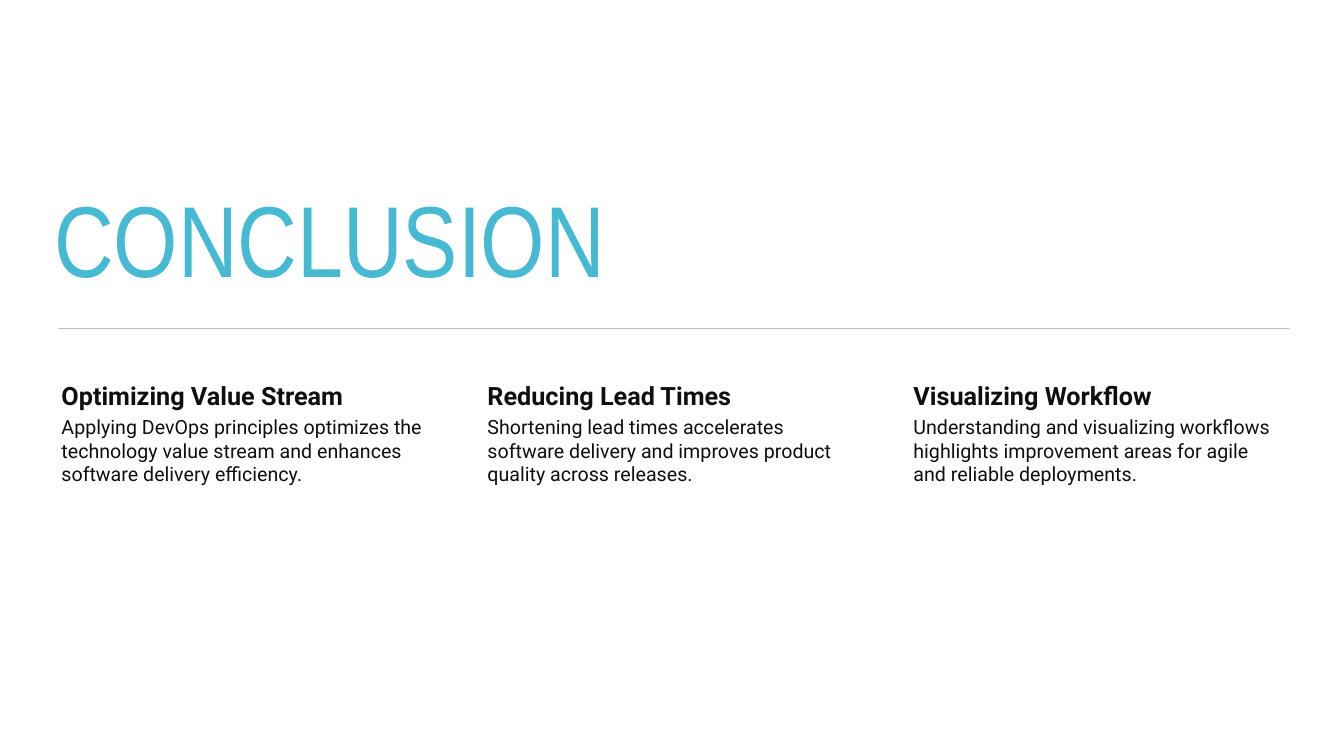
from lxml import etree
from pptx import Presentation
from pptx import util as u
from pptx.dml.color import RGBColor
from pptx.enum import shapes, text
from pptx.oxml import ns

INK = RGBColor(0x0F, 0x0F, 0x0F)
ACCENT = RGBColor(0x46, 0xB9, 0xD3)
TITLE_FONT = "Arial Narrow"
BODY_FONT = "Roboto"

TAKEAWAYS = [
    ("Optimizing Value Stream",
     "Applying DevOps principles optimizes the technology value stream "
     "and enhances software delivery efficiency."),
    ("Reducing Lead Times",
     "Shortening lead times accelerates software delivery "
     "and improves product quality across releases."),
    ("Visualizing Workflow",
     "Understanding and visualizing workflows highlights improvement areas "
     "for agile and reliable deployments."),
]

# Column grid, in inches
GRID_LEFT, GRID_RIGHT, COLUMN_WIDTH = 0.46, 12.75, 3.84
COLUMN_STEP = (GRID_RIGHT - GRID_LEFT - COLUMN_WIDTH) / (len(TAKEAWAYS) - 1)


class SlideBuilder:
    def __init__(self, slide):
        self.slide = slide

    def label(self, wording, box, insets, size, font=BODY_FONT, color=INK,
              bold=False, anchor=text.MSO_ANCHOR.TOP, line_spacing=None):
        frame = self.slide.shapes.add_textbox(*map(u.Inches, box)).text_frame
        frame.word_wrap = True
        frame.vertical_anchor = anchor
        (frame.margin_left, frame.margin_top,
         frame.margin_right, frame.margin_bottom) = map(u.Inches, insets)
        paragraph = frame.paragraphs[0]
        paragraph.text = wording
        paragraph.line_spacing = line_spacing
        paragraph.font.name = font
        paragraph.font.size = u.Pt(size)
        paragraph.font.bold = bold
        paragraph.font.color.rgb = color

    def rule(self, left, right, top, opacity):
        divider = self.slide.shapes.add_connector(
            shapes.MSO_CONNECTOR.STRAIGHT,
            *map(u.Inches, (left, top, right, top)))
        divider.line.color.rgb = INK
        divider.line.width = u.Pt(0.75)
        # Transparency and no shadow
        properties = divider._element.spPr
        ink = properties.find(".//" + ns.qn("a:srgbClr"))
        etree.SubElement(ink, ns.qn("a:alpha"), val=str(opacity * 1000))
        etree.SubElement(properties, ns.qn("a:effectLst"))

    def takeaway(self, left, heading, detail):
        self.label(heading, (left, 3.74, COLUMN_WIDTH, 0.36),
                   (0.15, 0.03, 0.03, 0.03), 18, bold=True)
        self.label(detail, (left, 4.1, COLUMN_WIDTH, 2.71),
                   (0.15, 0.02, 0.02, 0.02), 14)


def main():
    deck = Presentation()
    deck.slide_width, deck.slide_height = u.Inches(13.33), u.Inches(7.5)
    builder = SlideBuilder(deck.slides.add_slide(deck.slide_layouts[6]))

    # Title and divider
    builder.rule(0.58, 12.79, 3.26, opacity=25)
    builder.label("CONCLUSION", (0.44, 0.59, 12.31, 2.43),
                  (0.1, 0.05, 0.1, 0.05), 72, font=TITLE_FONT, color=ACCENT,
                  anchor=text.MSO_ANCHOR.BOTTOM, line_spacing=0.9)

    # Three takeaways
    for column, (heading, detail) in enumerate(TAKEAWAYS):
        builder.takeaway(GRID_LEFT + column * COLUMN_STEP, heading, detail)

    deck.save("out.pptx")


if __name__ == "__main__":
    main()
